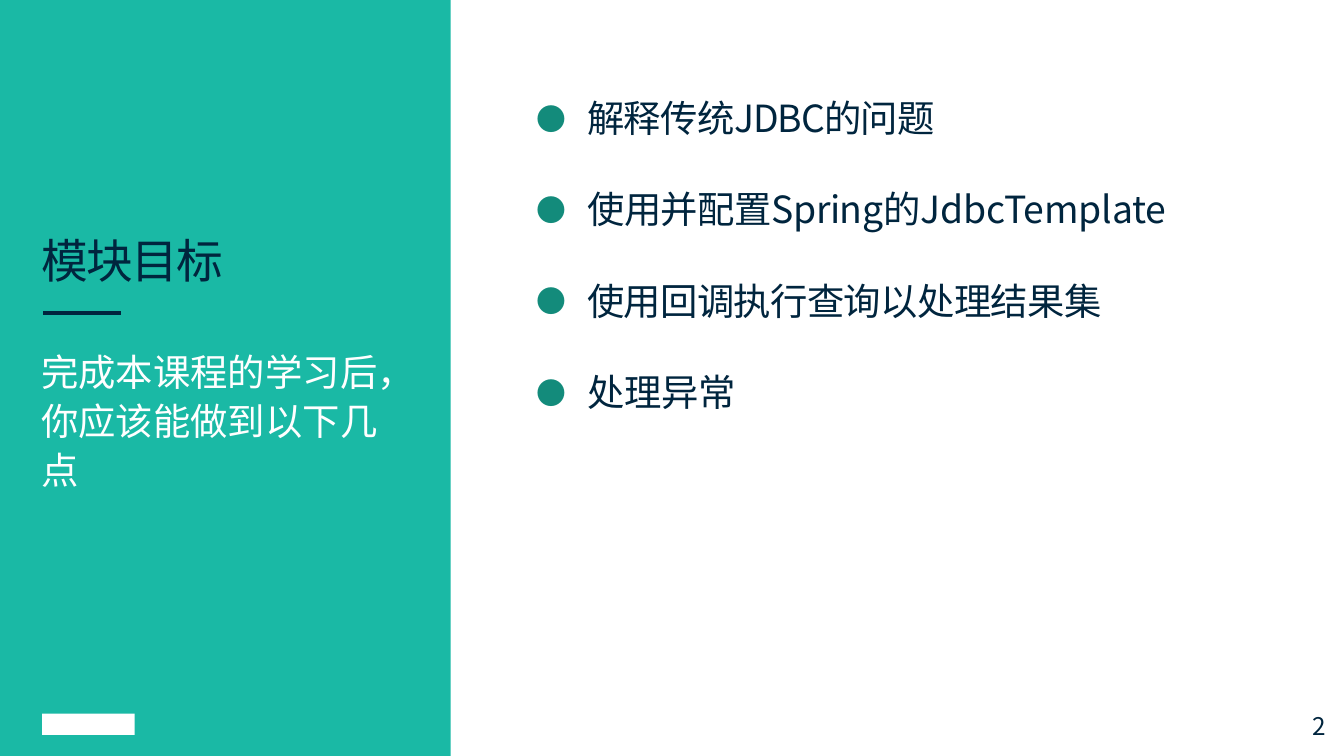
import pptx
import pptx.dml.color
import pptx.enum.shapes
import pptx.enum.text
import pptx.oxml
import pptx.oxml.ns
import pptx.util
from dataclasses import dataclass

Pt = pptx.util.Pt


@dataclass(frozen=True)
class Theme:
    font: str = "Noto Sans CJK SC"
    teal: str = "1AB9A5"
    bullet: str = "138B7B"
    navy: str = "00253E"
    white: str = "FFFFFF"
    title_size: float = 25
    body_size: float = 20
    number_size: float = 13


class SlideBuilder:
    def __init__(self, presentation, theme):
        self.theme = theme
        self.slide = presentation.slides.add_slide(presentation.slide_layouts[5])

    def rectangle(self, left, top, width, height, color):
        shape = self.slide.shapes.add_shape(
            pptx.enum.shapes.MSO_SHAPE.RECTANGLE,
            Pt(left), Pt(top), Pt(width), Pt(height))
        shape.shadow.inherit = False
        shape.fill.solid()
        shape.fill.fore_color.rgb = pptx.dml.color.RGBColor.from_string(color)
        shape.line.fill.background()

    def rule(self, left, right, y, color, weight):
        connector = self.slide.shapes.add_connector(
            pptx.enum.shapes.MSO_CONNECTOR.STRAIGHT,
            Pt(left), Pt(y), Pt(right), Pt(y))
        connector.line.color.rgb = pptx.dml.color.RGBColor.from_string(color)
        connector.line.width = Pt(weight)
        self.add_element(connector._element.spPr, "effectLst")

    def title(self, text, left, top, width, height):
        shape = self.slide.shapes.title
        self.slide.shapes._spTree.append(shape._element)  # in front of the panel
        shape.left, shape.top = Pt(left), Pt(top)
        shape.width, shape.height = Pt(width), Pt(height)
        paragraph = self.prepare_frame(shape.text_frame)
        paragraph.text = text
        self.format(paragraph, self.theme.title_size, self.theme.navy, 30, -0.7)

    def text(self, text, left, top, width, height, size, color, line_height):
        paragraph = self.text_box(left, top, width, height).paragraphs[0]
        paragraph.text = text
        self.format(paragraph, size, color, line_height)

    def bullets(self, items, left, top, width, height, gap):
        """Each item is a list of (text, letter spacing) runs."""
        frame = self.text_box(left, top, width, height)
        for index, item in enumerate(items):
            paragraph = frame.add_paragraph() if index else frame.paragraphs[0]
            self.add_bullet(paragraph)
            for text, spacing in item:
                run = paragraph.add_run()
                run.text = text
                self.format_run(run, self.theme.body_size, self.theme.navy, spacing)
            paragraph.line_spacing = Pt(24)
            paragraph.space_before = Pt(gap if index else 0)

    def add_bullet(self, paragraph):
        properties = paragraph._p.get_or_add_pPr()
        properties.set("marL", str(Pt(28.8)))
        properties.set("indent", str(-Pt(27.4)))
        color = self.add_element(properties, "buClr")
        self.add_element(color, "srgbClr", val=self.theme.bullet)
        self.add_element(properties, "buSzPct", val="80000")
        self.add_element(properties, "buFont", typeface=self.theme.font)
        self.add_element(properties, "buChar", char="●")

    def text_box(self, left, top, width, height):
        shape = self.slide.shapes.add_textbox(Pt(left), Pt(top), Pt(width), Pt(height))
        self.prepare_frame(shape.text_frame)
        return shape.text_frame

    def prepare_frame(self, frame):
        frame.margin_left = frame.margin_right = 0
        frame.margin_top = frame.margin_bottom = 0
        frame.word_wrap = True
        frame.auto_size = pptx.enum.text.MSO_AUTO_SIZE.NONE
        frame.vertical_anchor = pptx.enum.text.MSO_ANCHOR.TOP
        return frame.paragraphs[0]

    def format(self, paragraph, size, color, line_height, spacing=0):
        paragraph.alignment = pptx.enum.text.PP_ALIGN.LEFT
        paragraph.line_spacing = Pt(line_height)
        paragraph.space_before = Pt(0)
        for run in paragraph.runs:
            self.format_run(run, size, color, spacing)

    def format_run(self, run, size, color, spacing):
        run.font.size = Pt(size)
        run.font.name = self.theme.font
        run.font.color.rgb = pptx.dml.color.RGBColor.from_string(color)
        properties = run._r.get_or_add_rPr()
        properties.set("spc", str(round(spacing * 100)))
        self.add_element(properties, "ea", typeface=self.theme.font)

    @staticmethod
    def add_element(parent, tag, **attributes):
        element = pptx.oxml.parse_xml(f"<a:{tag} {pptx.oxml.ns.nsdecls('a')}/>")
        for name, value in attributes.items():
            element.set(name, value)
        parent.append(element)
        return element


def main():
    presentation = pptx.Presentation()
    presentation.slide_width, presentation.slide_height = Pt(720), Pt(405)
    theme = Theme()
    builder = SlideBuilder(presentation, theme)

    builder.rectangle(0, 0, 241.4, 405, theme.teal)
    builder.rectangle(22.5, 382.3, 49.7, 11.5, theme.white)
    builder.rule(23.2, 64.7, 167.8, theme.navy, 2.25)
    builder.title("模块目标", 22, 124.4, 122, 31)
    builder.text("2", 703.4, 380.8, 12, 18, theme.number_size, theme.navy, 15.6)
    builder.text("完成本课程的学习后，你应该能做到以下几点",
                 22, 184.8, 192.2, 80, theme.body_size, theme.white, 26.25)
    builder.bullets([
        [("解释传统", -0.4), ("JDBC的问题", -0.7)],
        [("使用并配置Spring的", -0.3), ("JdbcTemplate", -0.1)],
        [("使用回调执行查询以处理结果集", -0.4)],
        [("处理异常", -0.1)],
    ], 285.8, 51, 401.8, 172, gap=24.9)

    presentation.save("out.pptx")


if __name__ == "__main__":
    main()
